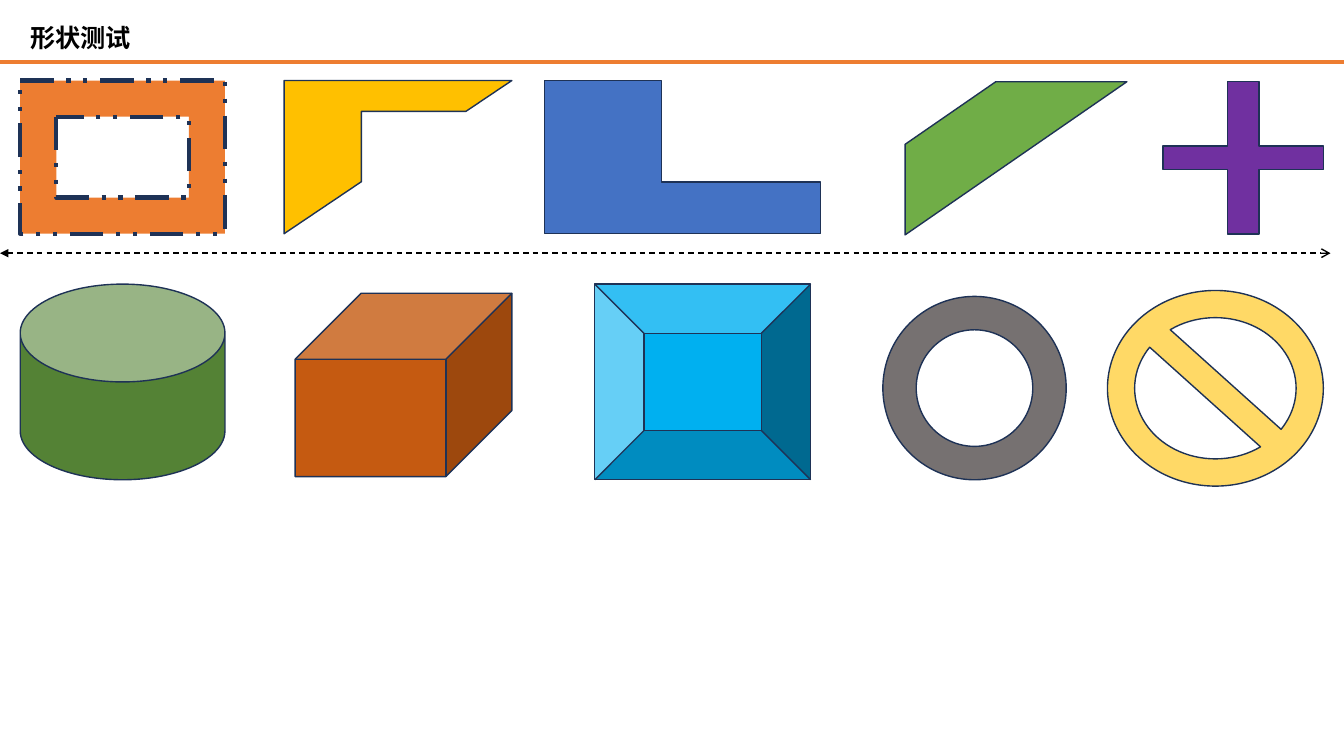
from dataclasses import dataclass

from lxml.etree import SubElement
from pptx import Presentation
from pptx.dml.color import RGBColor
from pptx.enum.dml import MSO_LINE as Dash
from pptx.enum.shapes import MSO_CONNECTOR, MSO_SHAPE as Preset
from pptx.enum.text import MSO_AUTO_SIZE
from pptx.oxml.ns import qn
from pptx.slide import Slide
from pptx.util import Cm, Pt

FONT = "Noto Sans CJK SC"
SLIDE_WIDTH = 33.87

BLACK = RGBColor(0x00, 0x00, 0x00)
NAVY = RGBColor(0x1E, 0x32, 0x56)
ORANGE = RGBColor(0xED, 0x7D, 0x31)
AMBER = RGBColor(0xFF, 0xC0, 0x00)
BLUE = RGBColor(0x44, 0x72, 0xC4)
GREEN = RGBColor(0x70, 0xAD, 0x47)
PURPLE = RGBColor(0x70, 0x30, 0xA0)
DARK_GREEN = RGBColor(0x54, 0x82, 0x35)
RUST = RGBColor(0xC5, 0x5A, 0x11)
SKY = RGBColor(0x00, 0xB0, 0xF0)
GREY = RGBColor(0x76, 0x71, 0x71)
YELLOW = RGBColor(0xFF, 0xD9, 0x66)


@dataclass(frozen=True)
class Figure:
    """A preset shape; lengths in centimetres, outline in points."""
    preset: Preset
    left: float
    top: float
    width: float
    height: float
    fill: RGBColor
    adjustments: tuple[float, ...]
    outline: float = 1
    dash: Dash | None = None


@dataclass(frozen=True)
class Rule:
    """A horizontal line starting at the left slide edge."""
    y: float
    length: float
    color: RGBColor
    weight: float
    dash: Dash | None = None
    head: str | None = None
    tail: str | None = None


FIGURES = (
    Figure(Preset.FRAME, 0.51, 2.03, 5.16, 3.86, ORANGE, (0.236,), 3, Dash.DASH_DOT_DOT),
    Figure(Preset.HALF_FRAME, 7.16, 2.03, 5.74, 3.86, AMBER, (0.202, 0.505)),
    Figure(Preset.CORNER, 13.72, 2.03, 6.96, 3.86, BLUE, (0.338, 0.763)),
    Figure(Preset.DIAGONAL_STRIPE, 22.81, 2.06, 5.59, 3.86, GREEN, (0.409,)),
    Figure(Preset.CROSS, 29.31, 2.06, 4.04, 3.84, PURPLE, (0.423,)),
    Figure(Preset.CAN, 0.51, 7.16, 5.16, 4.93, DARK_GREEN, (0.5,)),
    Figure(Preset.CUBE, 7.44, 7.39, 5.46, 4.62, RUST, (0.36,)),
    Figure(Preset.BEVEL, 14.99, 7.16, 5.44, 4.93, SKY, (0.252,)),
    Figure(Preset.DONUT, 22.25, 7.47, 4.62, 4.62, GREY, (0.182,)),
    Figure(Preset.NO_SYMBOL, 27.91, 7.32, 5.44, 4.93, YELLOW, (0.139,)),
)

RULES = (
    Rule(1.57, SLIDE_WIDTH, ORANGE, 3),
    Rule(6.38, 33.53, BLACK, 1, Dash.DASH, head="triangle", tail="arrow"),
)


def add_text(slide: Slide, text: str, *, left: float, top: float, width: float,
             height: float, size: float, color: RGBColor, bold: bool = False) -> None:
    box = slide.shapes.add_textbox(Cm(left), Cm(top), Cm(width), Cm(height))
    frame = box.text_frame
    frame.word_wrap = False
    frame.auto_size = MSO_AUTO_SIZE.SHAPE_TO_FIT_TEXT
    run = frame.paragraphs[0].add_run()
    run.text = text
    run.font.name = FONT
    run.font.size = Pt(size)
    run.font.bold = bold
    run.font.color.rgb = color
    SubElement(run.font._element, qn("a:ea"), typeface=FONT)


def draw_rule(slide: Slide, rule: Rule) -> None:
    connector = slide.shapes.add_connector(
        MSO_CONNECTOR.STRAIGHT, Cm(0), Cm(rule.y), Cm(rule.length), Cm(rule.y))
    line = connector.line
    line.color.rgb = rule.color
    line.width = Pt(rule.weight)
    if rule.dash is not None:
        line.dash_style = rule.dash
    properties = connector._element.spPr
    for tag, arrow in (("a:headEnd", rule.head), ("a:tailEnd", rule.tail)):
        if arrow:
            SubElement(properties.find(qn("a:ln")), qn(tag), type=arrow)
    SubElement(properties, qn("a:effectLst"))


def draw_figure(slide: Slide, figure: Figure) -> None:
    shape = slide.shapes.add_shape(
        figure.preset, Cm(figure.left), Cm(figure.top), Cm(figure.width), Cm(figure.height))
    for index, value in enumerate(figure.adjustments):
        shape.adjustments[index] = value
    shape.shadow.inherit = False
    shape.fill.solid()
    shape.fill.fore_color.rgb = figure.fill
    shape.line.color.rgb = NAVY
    shape.line.width = Pt(figure.outline)
    if figure.dash is not None:
        shape.line.dash_style = figure.dash


def main() -> None:
    presentation = Presentation()
    presentation.slide_width = Cm(SLIDE_WIDTH)
    presentation.slide_height = Cm(19.05)
    slide = presentation.slides.add_slide(presentation.slide_layouts[6])
    add_text(slide, "形状测试", left=0.51, top=0.43, width=3.07, height=1.02,
             size=18, color=BLACK, bold=True)
    for rule in RULES:
        draw_rule(slide, rule)
    for figure in FIGURES:
        draw_figure(slide, figure)
    presentation.save("out.pptx")


if __name__ == "__main__":
    main()
